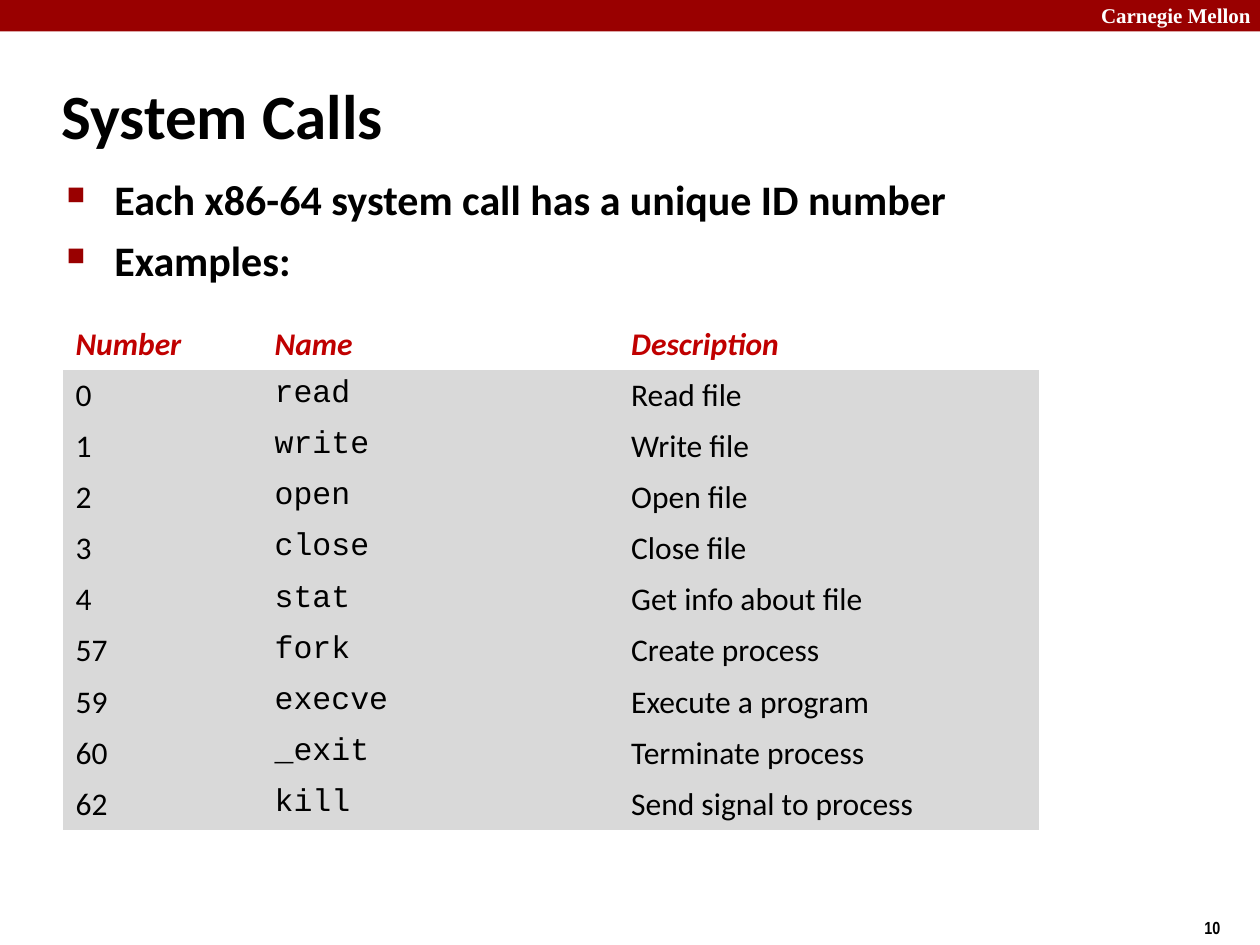
from typing import NamedTuple

import pptx
import pptx.dml.color
import pptx.enum.shapes
import pptx.enum.text
import pptx.oxml.ns
import pptx.util
from lxml import etree
from pptx.util import Inches

RGBColor = pptx.dml.color.RGBColor
BLACK = RGBColor(0x00, 0x00, 0x00)
WHITE = RGBColor(0xFF, 0xFF, 0xFF)
CRIMSON = RGBColor(0x99, 0x00, 0x00)
HEADER_RED = RGBColor(0xC0, 0x00, 0x00)
GRAY = RGBColor(0xD9, 0xD9, 0xD9)
NO_STYLE_NO_GRID = "{2D5ABB26-0587-4C30-8999-92F81FD0307C}"


class Style(NamedTuple):
    size: float
    font: str = "Calibri"
    color: RGBColor = BLACK
    bold: bool = True
    italic: bool = False


class Label(NamedTuple):
    left: float
    top: float
    width: float
    height: float
    text: str
    style: Style
    anchor: pptx.enum.text.MSO_ANCHOR = pptx.enum.text.MSO_ANCHOR.TOP


class SystemCall(NamedTuple):
    number: str
    name: str
    description: str


HEADER = Style(18, color=HEADER_RED, italic=True)
BODY = Style(18, bold=False)
CODE = Style(18, "Courier New", bold=False)
BULLET = Style(24)

LABELS = [
    Label(8.64, -0.03, 1.43, 0.3, "Carnegie Mellon", Style(12, "Times New Roman", WHITE)),
    Label(9.46, 7.23, 0.75, 0.27, "10", Style(10, "Arial Narrow")),
    Label(0.39, 0.49, 8.3, 0.83, "System Calls", Style(36),
          pptx.enum.text.MSO_ANCHOR.MIDDLE),
]
BULLETS = ["Each x86-64 system call has a unique ID number", "Examples:"]
COLUMN_WIDTHS = [1.58, 2.83, 3.34]
TABLE_HEIGHT = 4.06
CALLS = [
    SystemCall("0", "read", "Read file"),
    SystemCall("1", "write", "Write file"),
    SystemCall("2", "open", "Open file"),
    SystemCall("3", "close", "Close file"),
    SystemCall("4", "stat", "Get info about file"),
    SystemCall("57", "fork", "Create process"),
    SystemCall("59", "execve", "Execute a program"),
    SystemCall("60", "_exit", "Terminate process"),
    SystemCall("62", "kill", "Send signal to process"),
]


def add_run(p, text: str, style: Style) -> None:
    r = p.add_run()
    r.text = text
    r.font.size = pptx.util.Pt(style.size)
    r.font.name = style.font
    r.font.color.rgb = style.color
    r.font.bold = style.bold
    r.font.italic = style.italic


def add_text_frame(s, left: float, top: float, width: float, height: float):
    tf = s.shapes.add_textbox(
        Inches(left), Inches(top), Inches(width), Inches(height)).text_frame
    tf.word_wrap = True
    return tf


def add_label(s, label: Label) -> None:
    tf = add_text_frame(s, label.left, label.top, label.width, label.height)
    tf.vertical_anchor = label.anchor
    add_run(tf.paragraphs[0], label.text, label.style)


def set_bullet(p) -> None:
    """Give the paragraph a small crimson square and a hanging indent."""
    pPr = p._p.get_or_add_pPr()
    pPr.set("marL", str(Inches(0.38)))
    pPr.set("indent", str(-Inches(0.38)))
    qn = pptx.oxml.ns.qn
    color = etree.SubElement(pPr, qn("a:buClr"))
    etree.SubElement(color, qn("a:srgbClr"), val=str(CRIMSON))
    etree.SubElement(pPr, qn("a:buSzPct"), val="60000")
    etree.SubElement(pPr, qn("a:buChar"), char="■")


def add_bullets(s) -> None:
    tf = add_text_frame(s, 0.43, 1.33, 8.64, 5.83)
    for i, text in enumerate(BULLETS):
        p = tf.add_paragraph() if i else tf.paragraphs[0]
        set_bullet(p)
        if i:
            p.space_before = pptx.util.Pt(6)
        add_run(p, text, BULLET)


def add_call_table(s) -> None:
    rows = [SystemCall("Number", "Name", "Description"), *CALLS]
    frame = s.shapes.add_table(
        len(rows), len(COLUMN_WIDTHS), Inches(0.5), Inches(2.53),
        Inches(sum(COLUMN_WIDTHS)), Inches(TABLE_HEIGHT))
    table = frame.table
    table.horz_banding = False
    style_id = frame._element.find(".//" + pptx.oxml.ns.qn("a:tableStyleId"))
    style_id.text = NO_STYLE_NO_GRID
    for column, width in zip(table.columns, COLUMN_WIDTHS):
        column.width = Inches(width)
    for i, row in enumerate(rows):
        table.rows[i].height = Inches(TABLE_HEIGHT / len(rows))
        styles = (BODY, CODE, BODY) if i else (HEADER,) * 3
        for cell, text, style in zip(table.rows[i].cells, row, styles):
            cell.fill.solid()
            cell.fill.fore_color.rgb = GRAY if i else WHITE
            add_run(cell.text_frame.paragraphs[0], text, style)


def add_top_bar(s, width: int) -> None:
    sp = s.shapes.add_shape(
        pptx.enum.shapes.MSO_SHAPE.RECTANGLE, 0, 0, width, Inches(0.25))
    sp.shadow.inherit = False
    sp.fill.solid()
    sp.fill.fore_color.rgb = CRIMSON
    sp.line.fill.background()


def main() -> None:
    prs = pptx.Presentation()
    prs.slide_width = Inches(10)
    prs.slide_height = Inches(7.5)
    s = prs.slides.add_slide(prs.slide_layouts[6])
    add_top_bar(s, prs.slide_width)
    for label in LABELS:
        add_label(s, label)
    add_call_table(s)
    add_bullets(s)
    prs.save("out.pptx")


if __name__ == "__main__":
    main()
